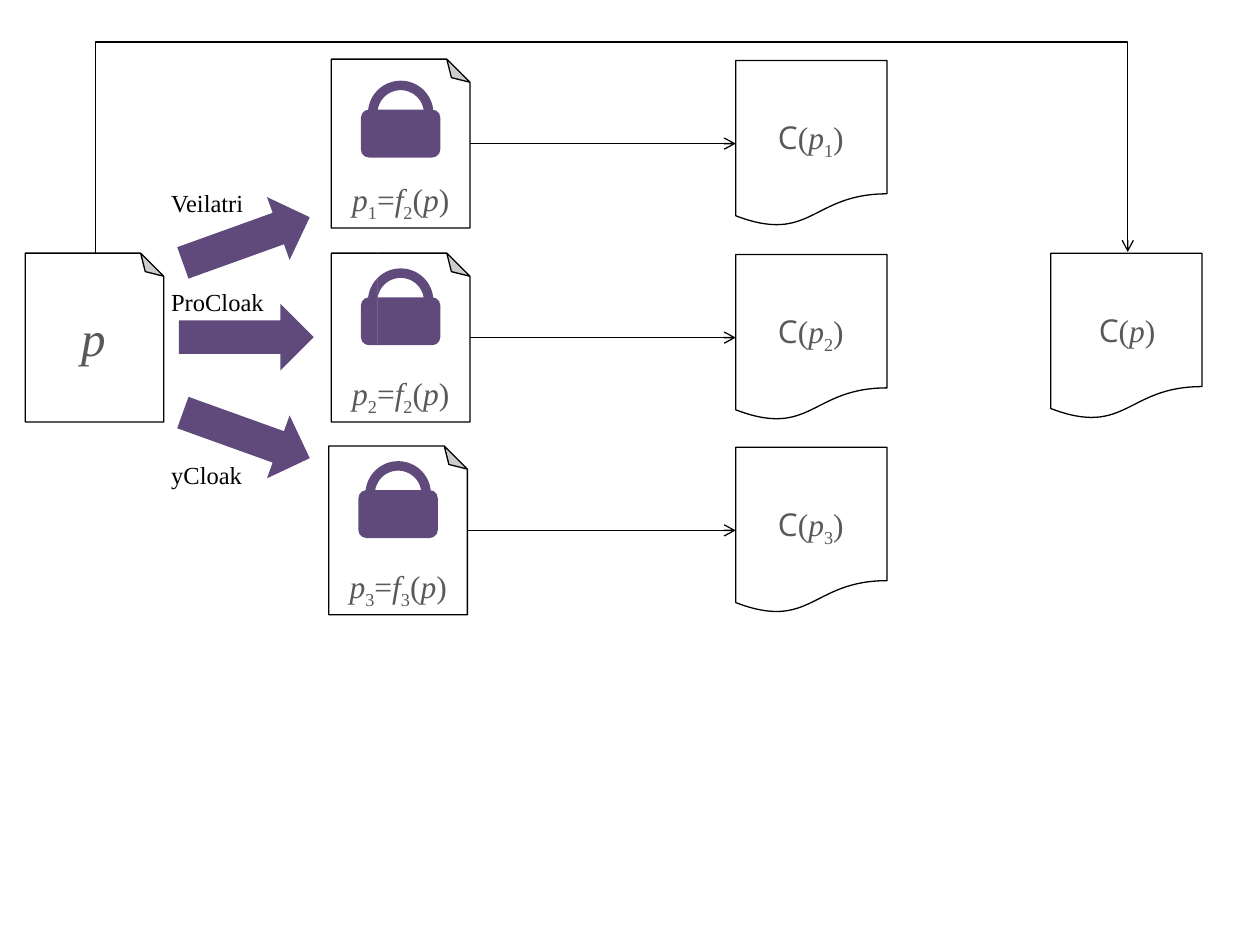
import math
from lxml import etree
from pptx import Presentation, util as u
from pptx.dml.color import RGBColor
from pptx.enum import shapes, text
from pptx.oxml import ns

BLACK = RGBColor(0x00, 0x00, 0x00)
WHITE = RGBColor(0xFF, 0xFF, 0xFF)
GREY = RGBColor(0x59, 0x59, 0x59)
PURPLE = RGBColor(0x60, 0x4A, 0x7B)
SHAPE = shapes.MSO_SHAPE

# Grid of the diagram, in inches
PAGE_W, PAGE_H = 1.1, 1.34
RESULT_W, RESULT_H = 1.2, 1.32
ROW_TOPS = (0.47, 2.01, 3.54)
PAGE_LEFTS = (2.63, 2.63, 2.61)
SOURCE_LEFT, RESULT_LEFT, FINAL_LEFT = 0.2, 5.84, 8.34
SUB, ITALIC, SANS = "sub", "italic", "sans"


class Diagram:
    """Holds the style and the current slide; one method per element."""
    serif, sans, line_width = "Times New Roman", "Open Sans", 0.75

    def __init__(self, slide):
        self.items = slide.shapes

    def paint(self, shape, fill, line=None):
        shape.shadow.inherit = False
        shape.fill.solid()
        shape.fill.fore_color.rgb = fill
        if line is None:
            shape.line.fill.background()
        else:
            shape.line.color.rgb = line
            shape.line.width = u.Pt(self.line_width)

    def shape(self, kind, left, top, width, height, fill, line=None):
        shape = self.items.add_shape(kind, *map(u.Inches, (left, top, width, height)))
        self.paint(shape, fill, line)
        return shape

    def label(self, spans, left, top, width, height, size, color, centred=True):
        box = self.items.add_textbox(*map(u.Inches, (left, top, width, height)))
        frame = box.text_frame
        frame.word_wrap = False
        frame.auto_size = text.MSO_AUTO_SIZE.SHAPE_TO_FIT_TEXT
        para = frame.paragraphs[0]
        para.alignment = text.PP_ALIGN.CENTER if centred else text.PP_ALIGN.LEFT
        para.font.size = u.Pt(size)
        para.font.color.rgb = color
        para.font.name = self.serif
        for words, style in spans:
            span = para.add_run()
            span.text = words
            if style == ITALIC:
                span.font.italic = True
            elif style == SUB:
                span._r.get_or_add_rPr().set("baseline", "-25000")
            elif style == SANS:
                span.font.name = self.sans

    def page(self, left, top):
        page = self.shape(SHAPE.FOLDED_CORNER, left, top, PAGE_W, PAGE_H, WHITE, BLACK)
        page._element.spPr.find(ns.qn("a:xfrm")).set("flipV", "1")

    def lock(self, centre, top):
        shackle = self.shape(SHAPE.DONUT, centre - 0.26, top, 0.52, 0.52, PURPLE)
        shackle.adjustments[0] = 0.145
        self.shape(SHAPE.ROUNDED_RECTANGLE, centre - 0.315, top + 0.23, 0.63, 0.38, PURPLE)
        # Keyhole: a round head that opens into a narrow stem
        middle, radius, stem = top + 0.39, 0.06, 0.02
        points = [(centre + radius * math.cos(math.radians(angle)),
                   middle + radius * math.sin(math.radians(angle)))
                  for angle in range(110, 431, 10)]
        points += [(centre + stem, middle + 0.11), (centre - stem, middle + 0.11)]
        outline = self.items.build_freeform(*points[0], scale=u.Inches(1))
        outline.add_line_segments(points[1:], close=True)
        self.paint(outline.convert_to_shape(), WHITE)

    def result(self, left, top, inner, label_left, label_width):
        self.shape(SHAPE.FLOWCHART_DOCUMENT, left, top, RESULT_W, RESULT_H, WHITE, BLACK)
        spans = [("C", SANS), ("(", None), *inner, (")", None)]
        self.label(spans, label_left, top + 0.41, label_width, 0.4, 18, GREY)

    def connector(self, left, top, right, bottom):
        link = self.items.add_connector(shapes.MSO_CONNECTOR.ELBOW,
                                        *map(u.Inches, (left, top, right, bottom)))
        link.line.color.rgb = BLACK
        link.line.width = u.Pt(self.line_width)
        outline = link.line._get_or_add_ln()
        etree.SubElement(outline, ns.qn("a:tailEnd"), type="arrow")
        etree.SubElement(link._element.spPr, ns.qn("a:effectLst"))
        return link

    def overpass(self, left, right, base, peak):
        """Arrow that rises from the left, crosses over and drops at the right."""
        middle, half, thin = (left + right) / 2, (right - left) / 2, 0.01
        link = self.connector(middle - thin, base - half, middle + thin, base + half)
        properties = link._element.spPr
        frame = properties.find(ns.qn("a:xfrm"))
        for name, value in (("rot", "5400000"), ("flipH", "1"), ("flipV", "1")):
            frame.set(name, value)
        geometry = properties.find(ns.qn("a:prstGeom"))
        guides = geometry.find(ns.qn("a:avLst"))
        if guides is None:
            guides = etree.SubElement(geometry, ns.qn("a:avLst"))
        bend = round((base + thin - peak) / (2 * thin) * 100000)
        etree.SubElement(guides, ns.qn("a:gd"), name="adj1", fmla=f"val {bend}")


deck = Presentation()
deck.slide_width, deck.slide_height = u.Inches(10), u.Inches(7.5)
diagram = Diagram(deck.slides.add_slide(deck.slide_layouts[6]))

# Source program
diagram.page(SOURCE_LEFT, ROW_TOPS[1])
diagram.label([("p", ITALIC)], 0.52, 2.39, 0.44, 0.57, 28, GREY)

# Locked programs
locked = zip(PAGE_LEFTS, ROW_TOPS, "123", "223", (0.17, 0.12, 0.12), (0.01, 0.04, 0.04))
for left, top, number, function, lock_gap, label_gap in locked:
    diagram.page(left, top)
    diagram.label([("p", ITALIC), (number, SUB), ("=", None), ("f", ITALIC),
                   (function, SUB), ("(", None), ("p", ITALIC), (")", None)],
                  left + label_gap, top + 0.91, PAGE_W - 2 * label_gap, 0.4, 18, GREY)
    diagram.lock(left + PAGE_W / 2, top + lock_gap)

# Tool arrows and their names
for top, turn in ((1.37, 250.2), (2.14, 270), (2.92, 289.8)):
    diagram.shape(SHAPE.DOWN_ARROW, 1.69, top, 0.53, 1.07, PURPLE).rotation = turn
for name, top, width in (("Veilatri", 1.44, 0.83), ("ProCloak", 2.23, 0.97),
                         ("yCloak", 3.6, 0.81)):
    diagram.label([(name, None)], 1.26, top, width, 0.34, 14, BLACK, centred=False)

# Results, each reached from its locked program
for left, top, number in zip(PAGE_LEFTS, ROW_TOPS, "123"):
    diagram.result(RESULT_LEFT, top + 0.01, [("p", ITALIC), (number, SUB)], 6.05, 0.77)
    middle = top + PAGE_H / 2
    diagram.connector(left + PAGE_W, middle, RESULT_LEFT, middle)

# Result of the source program
diagram.result(FINAL_LEFT, ROW_TOPS[1], [("p", ITALIC)], 8.6, 0.69)
diagram.overpass(0.76, 8.95, ROW_TOPS[1], 0.34)

deck.save("out.pptx")
